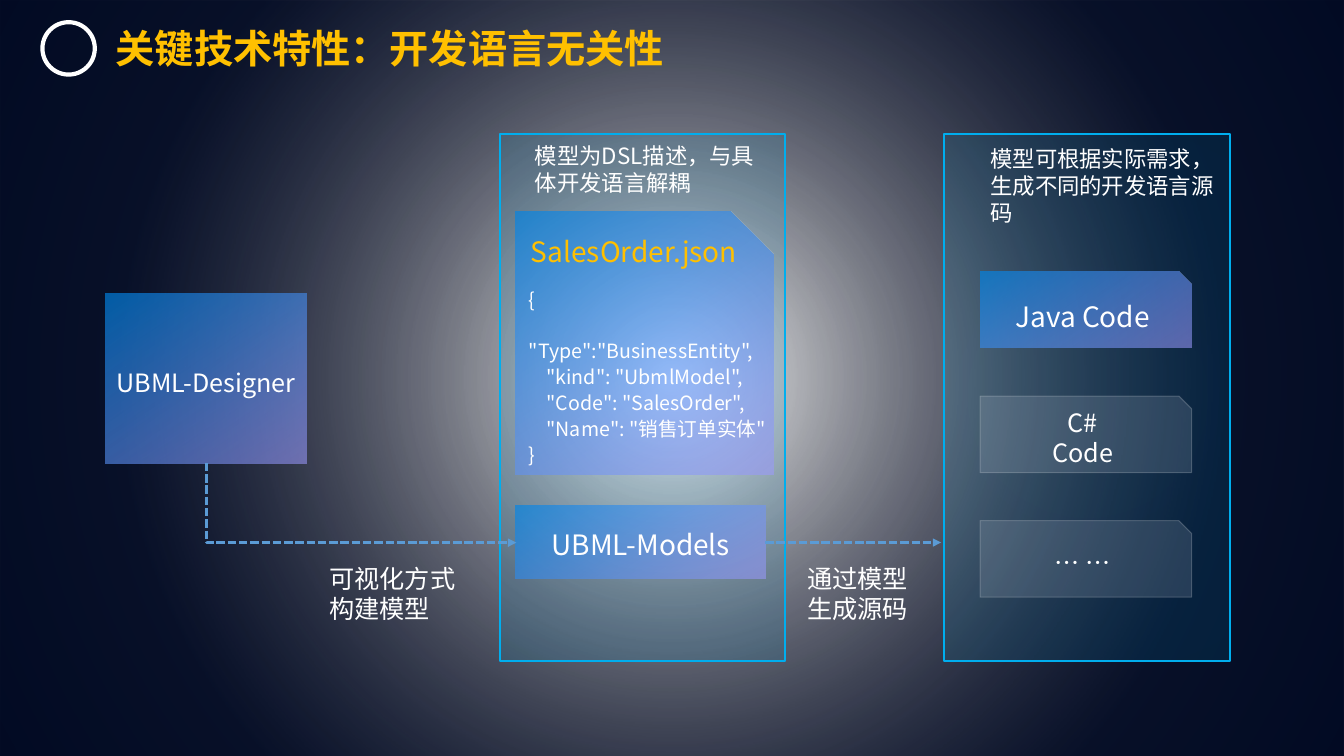
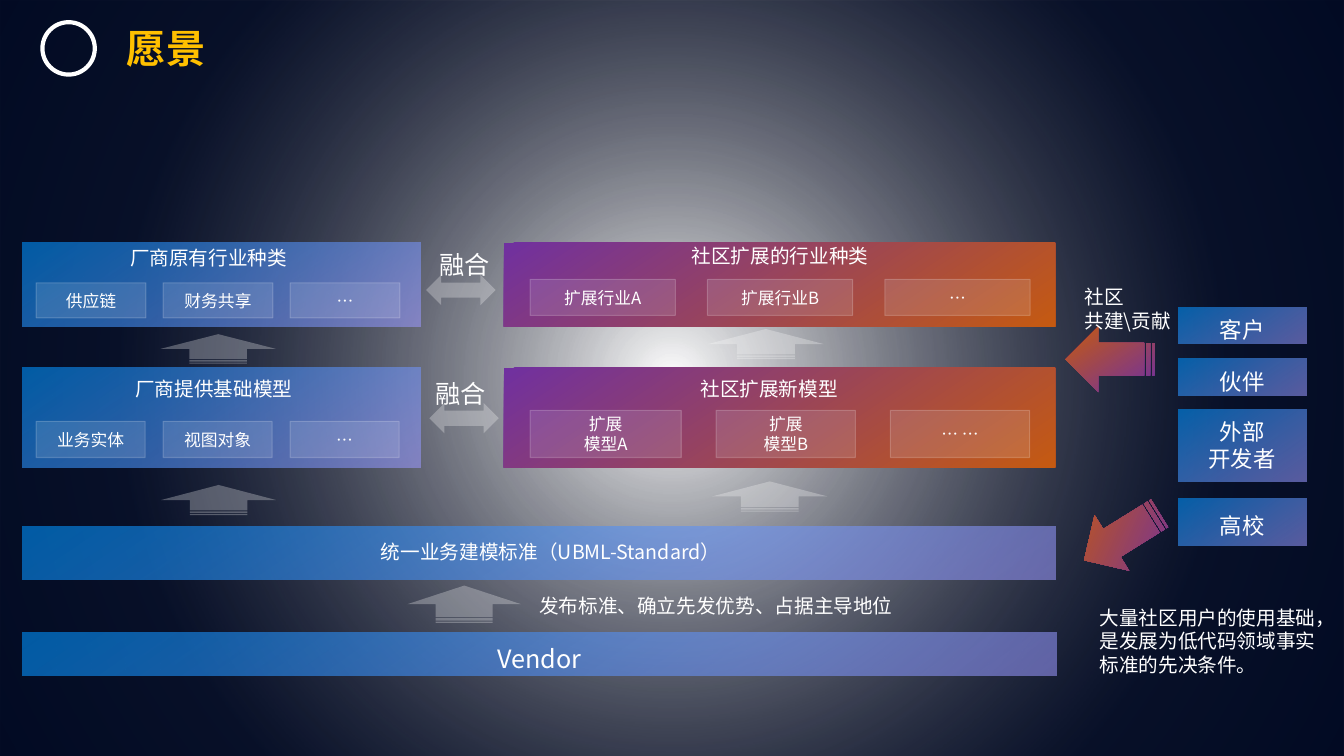
from lxml import etree
from pptx import Presentation
from pptx.dml.color import RGBColor as RGB
from pptx.enum.dml import MSO_LINE
from pptx.enum.shapes import MSO_CONNECTOR as CONN, MSO_SHAPE as SHAPE
from pptx.enum.text import MSO_ANCHOR as ANCHOR, PP_ALIGN as ALIGN
from pptx.oxml.ns import qn
from pptx.util import Cm, Pt

FONT = "Noto Sans CJK SC"
COLORS = {
    "white": "FFFFFF", "gold": "FFC000", "arrow": "5B9BD5",
    "panel_line": "00AEEE", "panel_in": "00ACEB", "panel_out": "00A4DF",
    "blue": "0086E9", "lilac": "9D9AFF", "purple": "7030A0", "orange": "C55A11",
    "mist": "DAE3F3", "black": "000000", "navy": "000622",
    "night_in": "000823", "night_out": "000922",
}
# Each stop: position %, colour, opacity %; one stop makes a solid fill
FILLS = {
    "vignette": [(0, "black", 0), (100, "navy", 92)],
    "night": [(0, "night_in", 0), (72, "night_out", 90)],
    "panel": [(36, "panel_in", 11), (100, "panel_out", 11)],
    "blue": [(0, "blue", 66), (100, "lilac", 56)],
    "warm": [(0, "purple", 100), (100, "orange", 100)],
    "chip": [(0, "mist", 15)],
    "pale": [(0, "white", 28)],
}
RADIAL = ("vignette", "night", "panel")
# Outline: colour, width, opacity %
LINES = {"panel": ("panel_line", 1.25, 100), "chip": ("white", 0.75, 20),
         "ring": ("white", 3, 100)}


def add_box(s, kind, at, fill, rotation=0):
    """Add a preset shape with a named fill and its outline."""
    sp = s.shapes.add_shape(kind, *[Cm(v) for v in at])
    sp.shadow.inherit = False
    sp.rotation = rotation
    sp.fill.background()
    if fill in LINES:
        color, width, opacity = LINES[fill]
        sp.line.color.rgb = RGB.from_string(COLORS[color])
        sp.line.width = Pt(width)
        clr = sp.line._get_or_add_ln().find(".//" + qn("a:srgbClr"))
        etree.SubElement(clr, qn("a:alpha"), val=str(opacity * 1000))
    else:
        sp.line.fill.background()
    if fill not in FILLS:
        return sp

    stops = FILLS[fill]
    paint = etree.Element(qn("a:gradFill" if len(stops) > 1 else "a:solidFill"))
    parent = paint
    if len(stops) > 1:
        paint.set("rotWithShape", "1")
        gs_list = etree.SubElement(paint, qn("a:gsLst"))
    for pos, color, opacity in stops:
        if len(stops) > 1:
            parent = etree.SubElement(gs_list, qn("a:gs"), pos=str(pos * 1000))
        clr = etree.SubElement(parent, qn("a:srgbClr"), val=COLORS[color])
        etree.SubElement(clr, qn("a:alpha"), val=str(opacity * 1000))
    if fill in RADIAL:
        focus = etree.SubElement(paint, qn("a:path"), path="circle")
        etree.SubElement(focus, qn("a:fillToRect"), l="50000", t="50000",
                         r="50000", b="50000")
    elif len(stops) > 1:
        etree.SubElement(paint, qn("a:lin"), ang=str(56 * 60000), scaled="0")
    spPr = sp.fill._xPr
    spPr.replace(spPr.find(qn("a:noFill")), paint)
    return sp


def write(sp, text, size, color="white", align=ALIGN.LEFT, anchor=ANCHOR.TOP,
          spacing=None, bold=False, inset=None):
    """Set and format the text of a shape, or of a new text box (slide, place)."""
    if isinstance(sp, tuple):
        s, at = sp
        sp = s.shapes.add_textbox(*[Cm(v) for v in at])
    tf = sp.text_frame
    tf.word_wrap = True
    tf.vertical_anchor = anchor
    if inset is not None:
        tf.margin_left = tf.margin_right = Cm(inset)
        tf.margin_top = tf.margin_bottom = Cm(inset)
    tf.text = text
    for p in tf.paragraphs:
        p.alignment = align
        if spacing:
            p.line_spacing = spacing
        for r in p.runs:
            r.font.name = FONT
            r.font.size = Pt(size)
            r.font.bold = bold
            r.font.color.rgb = RGB.from_string(COLORS[color])
            etree.SubElement(r._r.get_or_add_rPr(), qn("a:ea"), typeface=FONT)


prs = Presentation()
prs.slide_width, prs.slide_height = Cm(33.87), Cm(19.05)
MIDDLE = {"align": ALIGN.CENTER, "anchor": ANCHOR.MIDDLE}

# Shared background, ring and title
slides = []
for title, x in [("关键技术特性：开发语言无关性", 2.67), ("愿景", 2.95)]:
    s = prs.slides.add_slide(prs.slide_layouts[6])
    for fill in ("vignette", "night"):
        add_box(s, SHAPE.RECTANGLE, (0, 0, 33.87, 19.05), fill)
    add_box(s, SHAPE.OVAL, (1.07, 0.56, 1.32, 1.32), "ring")
    write((s, (x, 0.1, 28, 2.21)), title, 28, "gold", anchor=ANCHOR.MIDDLE,
          bold=True)
    slides.append(s)

# ---- Slide 1: language independence ----
s = slides[0]
for x in (23.8, 12.6):
    add_box(s, SHAPE.RECTANGLE, (x, 3.38, 7.19, 13.28), "panel")

# Designer and models
sp = add_box(s, SHAPE.RECTANGLE, (2.67, 7.39, 5.05, 4.29), "blue")
write(sp, "UBML-Designer", 18, spacing=1.3, **MIDDLE)
sp = add_box(s, SHAPE.RECTANGLE, (13, 12.75, 6.3, 1.83), "blue")
write(sp, "UBML-Models", 20, align=ALIGN.CENTER, spacing=1.5)

# Model file
sp = add_box(s, SHAPE.SNIP_1_RECTANGLE, (13, 5.33, 6.5, 6.63), "blue")
write(sp, "SalesOrder.json", 20, "gold", ALIGN.CENTER, spacing=0.9)
code = """{
    "Type":"BusinessEntity",
    "kind": "UbmlModel",
    "Code": "SalesOrder",
    "Name": "销售订单实体"
}"""
write((s, (13.08, 7.06, 6.6, 4.22)), code, 14, spacing=1.1)

# Generated code files
for i, (text, fill) in enumerate([("Java Code", "blue"), ("C#\nCode", "chip"),
                                  ("… …", "chip")]):
    sp = add_box(s, SHAPE.SNIP_1_RECTANGLE,
                 (24.7, 6.84 + 3.14 * i, 5.33, 1.93), fill)
    if fill == "blue":
        write(sp, text, 20, align=ALIGN.CENTER, spacing=1.5)
    else:
        write(sp, text, 18, inset=0, **MIDDLE)

# Notes
for at, text, size in [
    ((20.09, 14.07, 3.4, 1.8), "通过模型\n生成源码", 18),
    ((8.05, 14.07, 3.81, 1.8), "可视化方式\n构建模型", 18),
    ((24.71, 3.53, 6.2, 2.31), "模型可根据实际需求，生成不同的开发语言源码", 16),
    ((13.23, 3.45, 6.05, 1.63), "模型为DSL描述，与具体开发语言解耦", 16),
]:
    write((s, at), text, size)

# Dashed arrows: the bent one is a turned, flipped two-segment connector
straight = s.shapes.add_connector(CONN.STRAIGHT, Cm(19.28), Cm(13.67),
                                  Cm(23.72), Cm(13.67))
bent = s.shapes.add_connector(CONN.ELBOW, Cm(10.11), Cm(8.76), Cm(8.1), Cm(16.58))
spPr = bent._element.spPr
spPr.find(qn("a:xfrm")).set("rot", str(270 * 60000))
spPr.find(qn("a:prstGeom")).set("prst", "bentConnector2")
for con in (straight, bent):
    con.line.color.rgb = RGB.from_string(COLORS["arrow"])
    con.line.width = Pt(2)
    con.line.dash_style = MSO_LINE.SQUARE_DOT
    etree.SubElement(con.line._get_or_add_ln(), qn("a:tailEnd"), type="triangle")
    etree.SubElement(con._element.spPr, qn("a:effectLst"))

# ---- Slide 2: vision ----
s = slides[1]
# Blocks
for at, fill in [
    ((0.58, 6.12, 10.03, 2.11), "blue"), ((12.7, 6.12, 13.89, 2.11), "warm"),
    ((0.58, 9.27, 10.03, 2.51), "blue"), ((12.7, 9.27, 13.89, 2.51), "warm"),
    ((0.58, 13.26, 26.01, 1.35), "blue"),
]:
    add_box(s, SHAPE.RECTANGLE, at, fill)
sp = add_box(s, SHAPE.RECTANGLE, (0.58, 15.95, 26.04, 1.07), "blue")
write(sp, "Vendor", 18, spacing=1.3, **MIDDLE)

# Chips: left, top, height, gap, widths, labels
for x, y, h, gap, widths, labels in [
    (0.91, 7.13, 0.88, 0.43, [2.77] * 3, ["供应链", "财务共享", "…"]),
    (0.91, 10.62, 0.91, 0.45, [2.75] * 3, ["业务实体", "视图对象", "…"]),
    (13.36, 7.04, 0.91, 0.81, [3.66] * 3, ["扩展行业A", "扩展行业B", "…"]),
    (13.36, 10.34, 1.19, 0.88, [3.81, 3.51, 3.51],
     ["扩展\n模型A", "扩展\n模型B", "… …"]),
]:
    for w, label in zip(widths, labels):
        sp = add_box(s, SHAPE.RECTANGLE, (x, y, w, h), "chip")
        write(sp, label, 12, inset=0, **MIDDLE)
        x += w + gap

# Block captions
for at, text in [
    ((2.44, 6.07, 5.64, 0.86), "厂商原有行业种类"),
    ((14.53, 6.02, 10.26, 0.86), "社区扩展的行业种类"),
    ((2.57, 9.37, 5.64, 0.86), "厂商提供基础模型"),
    ((14.94, 9.37, 8.89, 0.86), "社区扩展新模型"),
    ((8.18, 13.49, 11.4, 0.86), "统一业务建模标准（UBML-Standard）"),
    ((12.7, 14.83, 10.69, 0.86), "发布标准、确立先发优势、占据主导地位"),
]:
    write((s, at), text, 14, align=ALIGN.CENTER)

# Merge arrows between left and right
for x, y, text_x, text_y in [(10.74, 6.93, 10.82, 6.17), (10.82, 10.16, 10.72, 9.42)]:
    add_box(s, SHAPE.LEFT_RIGHT_ARROW, (x, y, 1.75, 0.76), "pale")
    write((s, (text_x, text_y, 1.9, 1.02)), "融合", 18)

# Upward arrows, then the community's arrows
for at in [(11.23, 13.79, 0.94, 2.87), (5.13, 11.15, 0.76, 2.9),
           (19.02, 11.05, 0.76, 2.92), (5.13, 7.34, 0.74, 2.9),
           (18.92, 7.21, 0.76, 2.92)]:
    add_box(s, SHAPE.STRIPED_RIGHT_ARROW, at, "pale", 270)
for x, y, rotation in [(26.85, 8.23, 180), (27.15, 12.7, 148.1)]:
    add_box(s, SHAPE.STRIPED_RIGHT_ARROW, (x, y, 2.24, 1.65), "warm", rotation)

# Community members
for y, h, text, spacing in [(7.75, 0.91, "客户", 1.3), (9.04, 0.94, "伙伴", 1.3),
                            (10.31, 1.83, "外部\n开发者", 1.0),
                            (12.57, 1.17, "高校", 1.3)]:
    sp = add_box(s, SHAPE.RECTANGLE, (29.69, y, 3.23, h), "blue")
    write(sp, text, 16, spacing=spacing, **MIDDLE)
write((s, (27.46, 15.14, 6.12, 2.06)),
      "大量社区用户的使用基础，是发展为低代码领域事实标准的先决条件。", 14)
write((s, (27.08, 7.06, 2.72, 1.45)), "社区\n共建\\贡献", 14)

prs.save("out.pptx")
